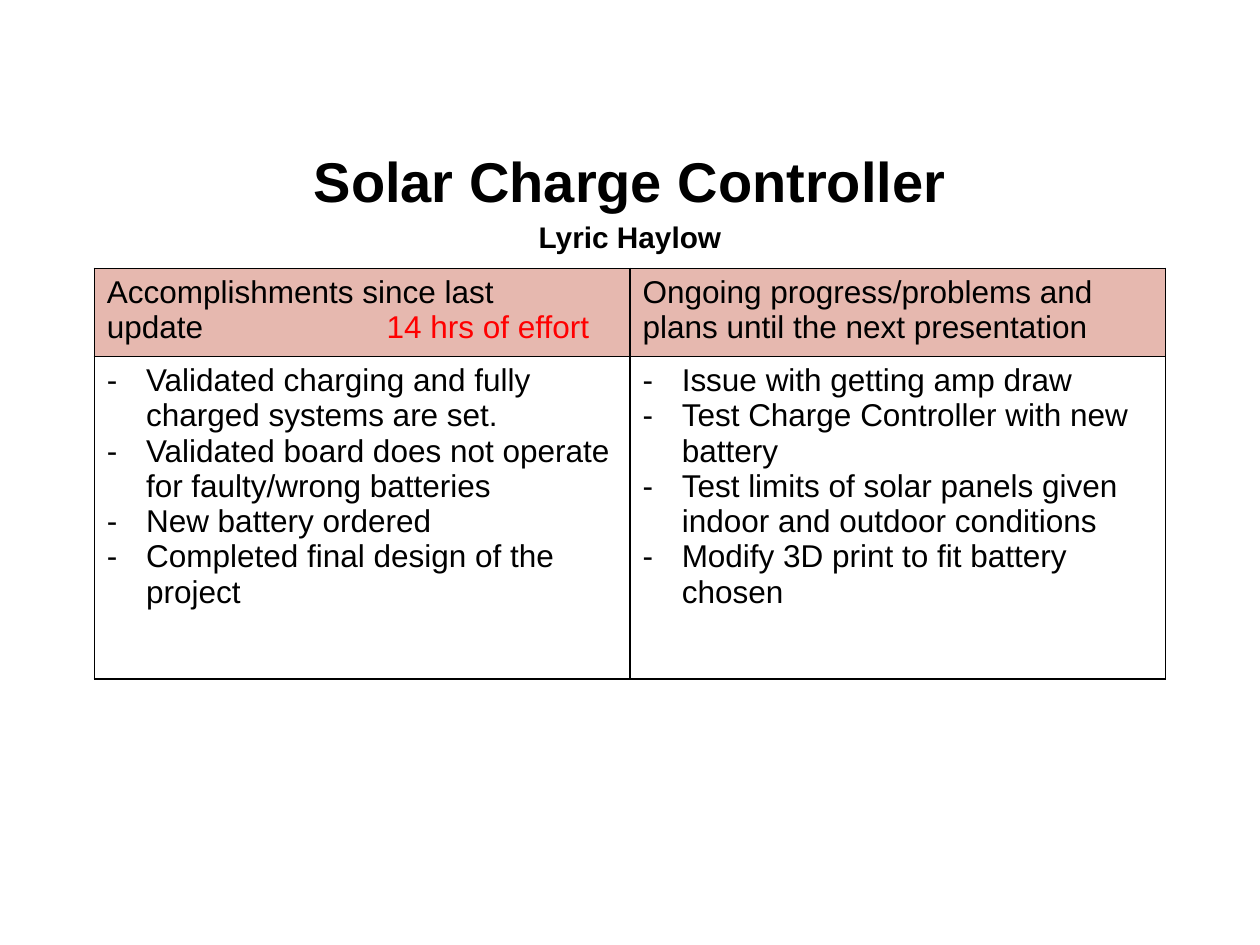
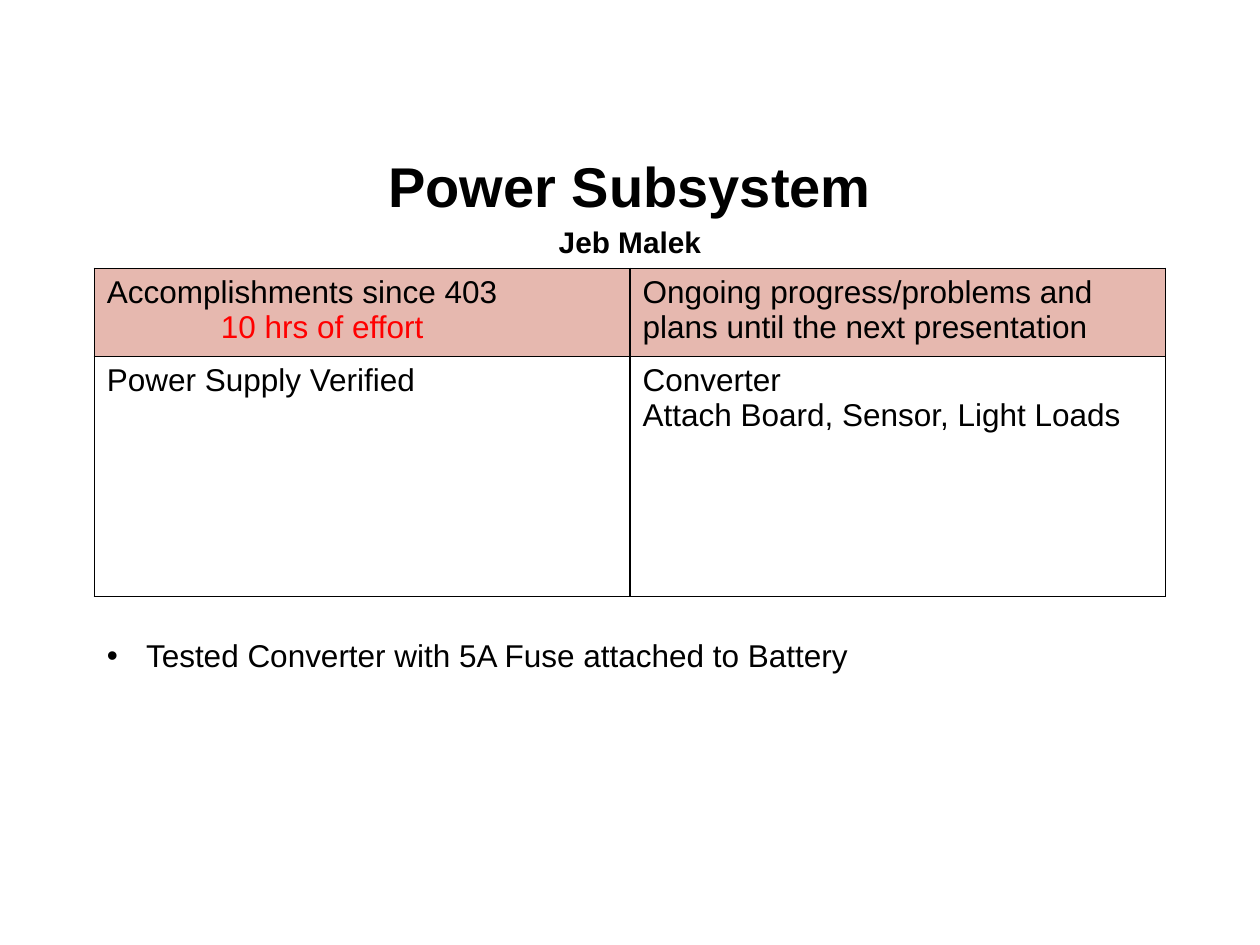
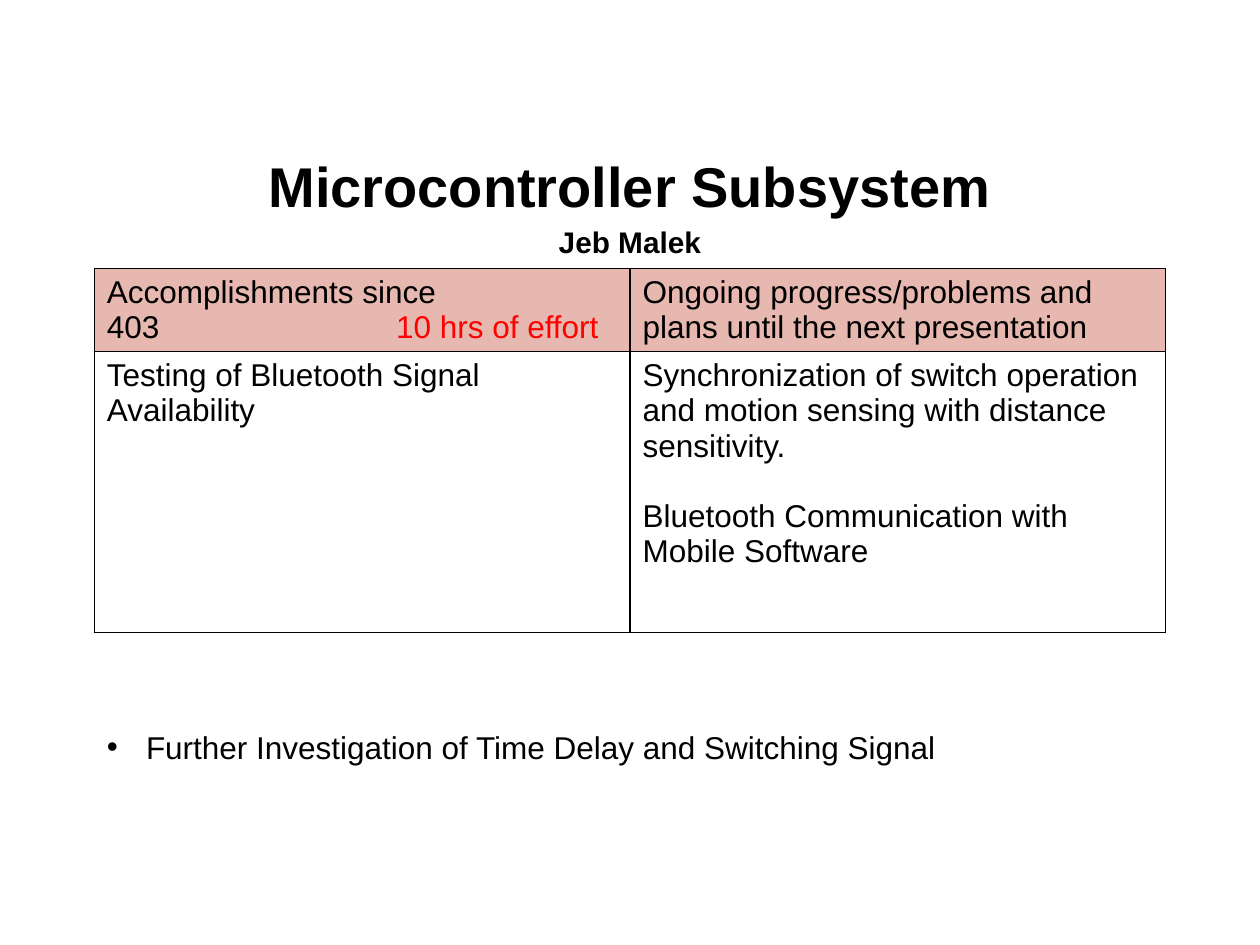
from dataclasses import dataclass

from lxml.etree import SubElement as Sub
from pptx import Presentation
from pptx.dml.color import RGBColor as RGB
from pptx.enum.text import MSO_ANCHOR as Anchor, MSO_AUTO_SIZE as Fit, PP_ALIGN as Align
from pptx.oxml import parse_xml
from pptx.oxml.ns import nsdecls, qn
from pptx.util import Cm, Pt


@dataclass(frozen=True)
class Theme:
    font: str = "Arial"
    ink: RGB = RGB(0, 0, 0)
    red: RGB = RGB(255, 0, 0)
    head: RGB = RGB(0xE6, 0xB8, 0xAF)
    title: float = 32
    name: float = 17
    text: float = 18


LOOK = Theme()
LEFT, TOP, COL = Cm(1.9), Cm(5.41), Cm(10.8)
INDENT = Cm(0.79)
PLANS = "Ongoing progress/problems and plans until the next presentation"

# done: first heading, hours, tab stop of the hours; gap: space between cell paragraphs
SLIDES = [
    dict(title="Solar Charge Controller", name="Lyric Haylow", lead=1.0,
         done="Accomplishments since last\vupdate\t", hours="14 hrs of effort", tab=5.64,
         rows=(1.78, 6.5), mark="-", gap=0,
         cells=[["Validated charging and fully charged systems are set.",
                 "Validated board does not operate for faulty/wrong batteries",
                 "New battery ordered",
                 "Completed final design of the project"],
                ["Issue with getting amp draw",
                 "Test Charge Controller with new battery",
                 "Test limits of solar panels given indoor and outdoor conditions",
                 "Modify 3D print to fit battery chosen"]]),
    dict(title="Power Subsystem", name="Jeb Malek", lead=1.15,
         done="Accomplishments since 403\v\t", hours="10 hrs of effort", tab=2.3,
         rows=(1.78, 4.83), mark=None, gap=0,
         cells=[["Power Supply Verified"],
                ["Converter", "Attach Board, Sensor, Light Loads"]],
         note="Tested Converter with 5A Fuse attached to Battery", place=(12.7, 1.02)),
    dict(title="Microcontroller Subsystem", name="Jeb Malek", lead=1.15,
         done="Accomplishments since\v403\t", hours="10 hrs of effort", tab=5.83,
         rows=(1.68, 5.66), mark=None, gap=20,
         cells=[["Testing of Bluetooth Signal Availability"],
                ["Synchronization of switch operation and motion sensing "
                 "with distance sensitivity.",
                 "Bluetooth Communication with Mobile Software"]],
         note="Further Investigation of Time Delay and Switching Signal", place=(14.55, 1.8)),
]


def style(para, size, bold=False, mark=None, tab=None):
    """Add the bullet and tab stop, then the font, to a paragraph."""
    props = para._p.get_or_add_pPr()
    if mark:
        props.set("marL", str(INDENT))
        props.set("indent", str(-INDENT))
        Sub(props, qn("a:buFont"), typeface=LOOK.font)
        Sub(props, qn("a:buChar"), char=mark)
    if tab:
        stops = Sub(props, qn("a:tabLst"))
        Sub(stops, qn("a:tab"), pos=str(Cm(tab)), algn="l")
    font = para.font
    font.name, font.size, font.bold = LOOK.font, Pt(size), bold
    font.color.rgb = LOOK.ink


def fill(frame, lines, mark=None, gap=0):
    """Write one styled paragraph for each line."""
    frame.text = "\n".join(lines)
    for i, para in enumerate(frame.paragraphs):
        para.space_before = Pt(gap if i else 0)
        style(para, LOOK.text, mark=mark)


deck = Presentation()
deck.slide_width, deck.slide_height = Cm(25.4), Cm(19.05)

for data in SLIDES:
    note = data.get("note")
    slide = deck.slides.add_slide(deck.slide_layouts[1 if note else 5])

    title = slide.shapes.title
    title.left, title.top, title.width, title.height = Cm(1.27), Cm(2.92), Cm(22.86), Cm(2.24)
    frame = title.text_frame
    frame.auto_size, frame.vertical_anchor = Fit.NONE, Anchor.MIDDLE
    frame.text = data["title"] + "\n" + data["name"]
    sizes = (LOOK.title, LOOK.name)
    for para, size, lead in zip(frame.paragraphs, sizes, (data["lead"], 1.15)):
        para.alignment, para.line_spacing = Align.CENTER, lead
        style(para, size, bold=True)

    rows = [Cm(h) for h in data["rows"]]
    table = slide.shapes.add_table(2, 2, LEFT, TOP, 2 * COL, sum(rows)).table
    table.first_row = table.horz_banding = False
    for row, high in zip(table.rows, rows):
        row.height = high
    for col in table.columns:
        col.width = COL

    para = table.cell(0, 0).text_frame.paragraphs[0]
    para.text = data["done"]
    style(para, LOOK.text, tab=data["tab"])
    run = para.add_run()
    run.text = data["hours"]
    run.font.color.rgb = LOOK.red
    fill(table.cell(0, 1).text_frame, [PLANS])
    for c, lines in enumerate(data["cells"]):
        fill(table.cell(1, c).text_frame, lines, data["mark"], data["gap"])

    for i, cell in enumerate(table.iter_cells()):
        if i < 2:
            cell.fill.solid()
            cell.fill.fore_color.rgb = LOOK.head
        else:
            cell.fill.background()
        props = cell._tc.get_or_add_tcPr()
        for k, side in enumerate("LRTB"):
            props.insert(k, parse_xml(
                f'<a:ln{side} {nsdecls("a")} w="{Pt(1)}"><a:solidFill>'
                f'<a:srgbClr val="{LOOK.ink}"/></a:solidFill></a:ln{side}>'))

    if note:
        body = slide.placeholders[1]
        top, high = data["place"]
        body.left, body.top, body.width, body.height = LEFT, Cm(top), 2 * COL, Cm(high)
        body.text_frame.auto_size = Fit.NONE
        fill(body.text_frame, [note], "•")

deck.save("out.pptx")
